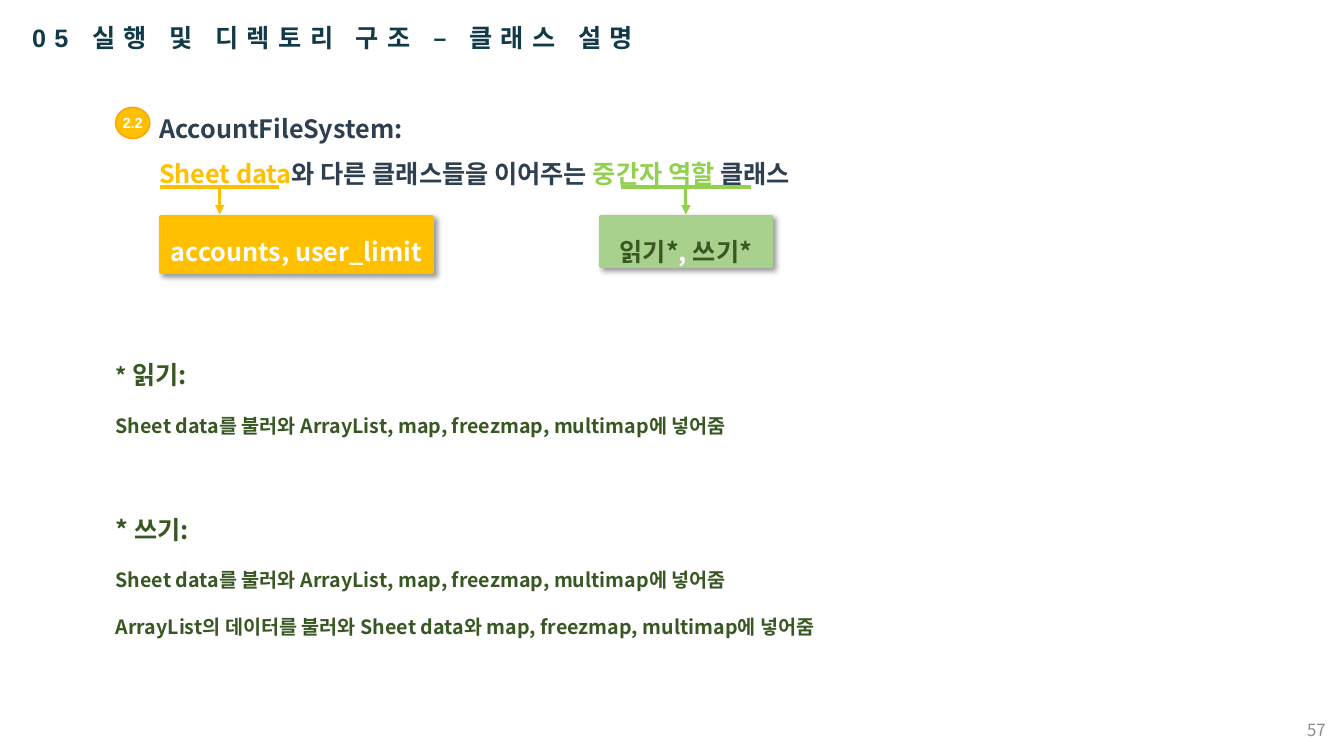
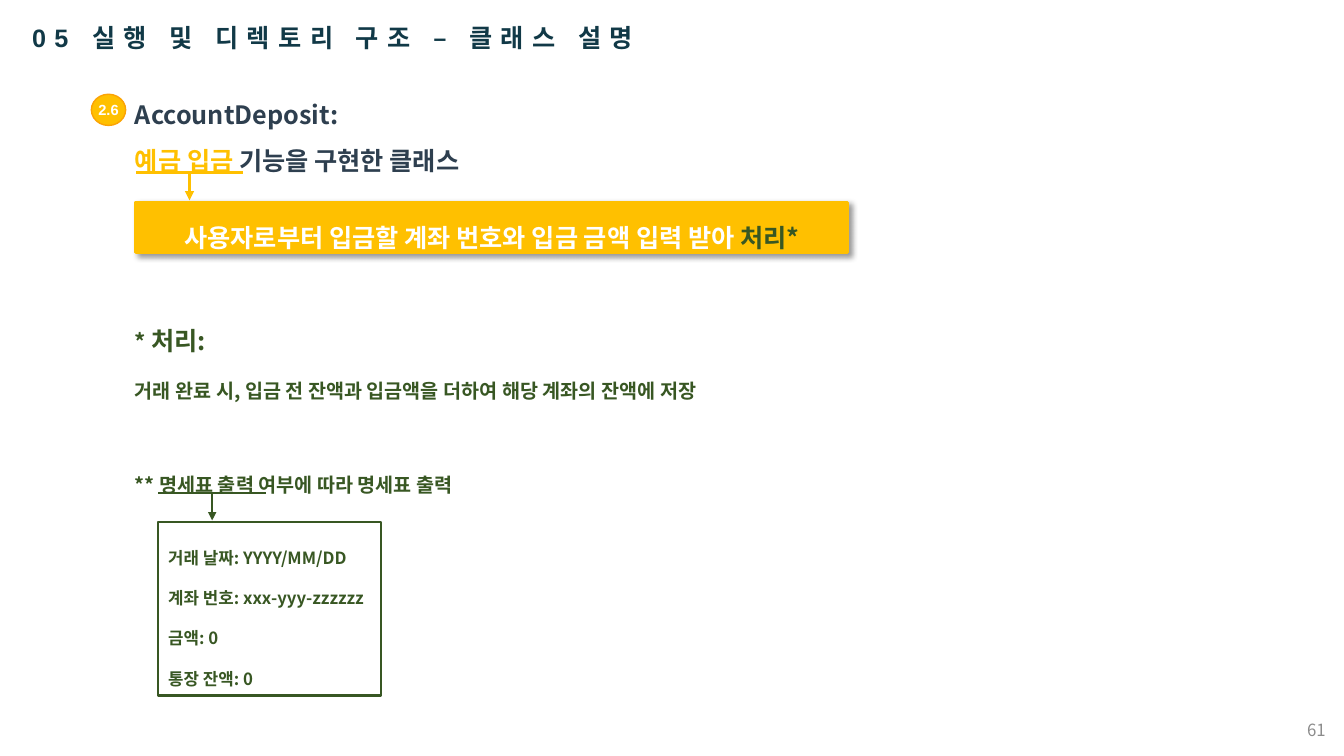
from dataclasses import dataclass
from typing import Any, NamedTuple

from lxml import etree
from pptx import Presentation
from pptx import util as u
from pptx.dml import color
from pptx.enum import shapes, text
from pptx.oxml import ns


@dataclass(frozen=True)
class Theme:
    title: str = "113947"
    heading: str = "2E3F4F"
    amber: str = "FFC000"
    amber_edge: str = "FBA305"
    lime: str = "92D050"
    sage: str = "A9D18E"
    forest: str = "385723"
    white: str = "FFFFFF"
    grey: str = "8C8C8C"
    latin: str = "Arial"
    korean: str = "Noto Sans CJK KR"
    large: float = 18
    medium: float = 16
    body: float = 14
    small: float = 12
    badge: float = 10.5
    section_gap: float = 33.6


THEME = Theme()
TITLE = "05 실행 및 디렉토리 구조 – 클래스 설명"
COLUMNS, ROWS = 80, 45
WIDTH, HEIGHT = u.Inches(13.333), u.Inches(7.5)


class Area(NamedTuple):
    """Left, top, width and height in columns and rows of the page grid."""
    left: float
    top: float
    width: float
    height: float


class Span(NamedTuple):
    words: str
    color: str
    size: float = THEME.large
    font: str = THEME.korean
    bold: bool = True
    spacing: float = 0


class Para(NamedTuple):
    spans: tuple[Span, ...]
    before: float = 0


@dataclass(frozen=True)
class Callout:
    """A box with an arrow from an underlined phrase above it."""
    underline: Area
    left: float
    width: float
    height: float
    paras: tuple[Para, ...]
    fill: str
    edge: str
    accent: str
    weight: float = 2.25
    leading: float = 1.5
    align: Any = text.PP_ALIGN.CENTER
    shadow: bool = True


@dataclass(frozen=True)
class ClassPage:
    number: str
    badge: str
    heading: Area
    heading_paras: tuple[Para, ...]
    notes: Area
    note_paras: tuple[Para, ...]
    callouts: tuple[Callout, ...]


def line(*spans: Span, before: float = 0) -> Para:
    return Para(spans, before)


def note(words: str, before: float = 0, size: float = THEME.body) -> Para:
    return line(Span(words, THEME.forest, size), before=before)


def topic(name: str, before: float = 0, star_size: float = THEME.medium) -> Para:
    return line(Span("* ", THEME.forest, star_size), Span(f"{name}:", THEME.forest), before=before)


def across(columns: float) -> int:
    return round(WIDTH * columns / COLUMNS)


def down(rows: float) -> int:
    return round(HEIGHT * rows / ROWS)


def place(area: Area) -> tuple[int, int, int, int]:
    return across(area.left), down(area.top), across(area.width), down(area.height)


def rgb(value: str) -> color.RGBColor:
    return color.RGBColor.from_string(value)


def apply(target: Any, formats: dict[str, Any]) -> None:
    for name, value in formats.items():
        setattr(target, name, value)


def write(shape: Any, paras: tuple[Para, ...], leading: float = 1,
          align: Any = text.PP_ALIGN.LEFT, **frame_formats: Any) -> None:
    frame = shape.text_frame
    apply(frame, {"word_wrap": True, "vertical_anchor": text.MSO_ANCHOR.TOP} | frame_formats)
    for index, item in enumerate(paras):
        para = frame.paragraphs[0] if index == 0 else frame.add_paragraph()
        apply(para, {"line_spacing": leading, "alignment": align})
        if item.before:
            para.space_before = u.Pt(item.before)
        for span in item.spans:
            run = para.add_run()
            run.text = span.words
            apply(run.font, {"name": span.font, "size": u.Pt(span.size), "bold": span.bold})
            run.font.color.rgb = rgb(span.color)
            properties = run.font._element
            etree.SubElement(properties, ns.qn("a:ea"), typeface=THEME.korean)
            if span.spacing:
                properties.set("spc", str(round(span.spacing * 100)))


def add_text(page: Any, area: Area, paras: tuple[Para, ...], **formats: Any) -> None:
    write(page.shapes.add_textbox(*place(area)), paras, **formats)


def add_filled(page: Any, kind: Any, area: Area, fill: str, edge: str, weight: float) -> Any:
    shape = page.shapes.add_shape(kind, *place(area))
    shape.shadow.inherit = False
    shape.fill.solid()
    shape.fill.fore_color.rgb = rgb(fill)
    shape.line.color.rgb = rgb(edge)
    shape.line.width = u.Pt(weight)
    return shape


def add_shadow(shape: Any) -> None:
    effects = shape._element.spPr.find(ns.qn("a:effectLst"))
    shadow = etree.SubElement(effects, ns.qn("a:outerShdw"), blurRad=str(u.Pt(4)),
                              dist=str(u.Pt(3)), dir="2700000", algn="tl", rotWithShape="0")
    tint = etree.SubElement(shadow, ns.qn("a:srgbClr"), val="000000")
    etree.SubElement(tint, ns.qn("a:alpha"), val="40000")


def add_line(page: Any, area: Area, accent: str, weight: float, arrow: bool = False) -> None:
    left, top, width, height = place(area)
    connector = page.shapes.add_connector(
        shapes.MSO_CONNECTOR.STRAIGHT, left, top, left + width, top + height)
    connector.line.color.rgb = rgb(accent)
    connector.line.width = u.Pt(weight)
    if arrow:
        etree.SubElement(connector.line._get_or_add_ln(), ns.qn("a:tailEnd"), type="triangle")
    etree.SubElement(connector._element.spPr, ns.qn("a:effectLst"))


def add_callout(page: Any, callout: Callout) -> None:
    rule = callout.underline
    area = Area(callout.left, rule.top + 1.74, callout.width, callout.height)
    box = add_filled(page, shapes.MSO_SHAPE.RECTANGLE, area,
                     callout.fill, callout.edge, callout.weight)
    if callout.shadow:
        add_shadow(box)
    write(box, callout.paras, callout.leading, callout.align, word_wrap=False, margin_bottom=0)
    arrow = Area(rule.left + rule.width / 2, rule.top, 0, 1.64)
    add_line(page, arrow, callout.accent, callout.weight, arrow=True)
    add_line(page, rule, callout.accent, callout.weight)


def add_badge(page: Any, label: str, heading: Area) -> None:
    area = Area(heading.left - 2, heading.top + 0.87, 2.04, 1.86)
    badge = add_filled(page, shapes.MSO_SHAPE.OVAL, area, THEME.amber, THEME.amber_edge, 1)
    margins = {f"margin_{side}": 0 for side in ("left", "top", "right", "bottom")}
    write(badge, (line(Span(label, THEME.white, THEME.badge, THEME.latin)),),
          align=text.PP_ALIGN.CENTER, vertical_anchor=text.MSO_ANCHOR.MIDDLE, **margins)


def add_page(deck: Any, content: ClassPage) -> None:
    page = deck.slides.add_slide(deck.slide_layouts[6])
    add_badge(page, content.badge, content.heading)
    add_text(page, Area(1.32, 1.02, 54.54, 2.4),
             (line(Span(TITLE, THEME.title, font=THEME.latin, spacing=6)),))
    add_text(page, content.heading, content.heading_paras, leading=1.5)
    add_text(page, content.notes, content.note_paras, leading=2)
    for callout in content.callouts:
        add_callout(page, callout)
    add_text(page, Area(61.5, 42.24, 18, 2.4),
             (line(Span(content.number, THEME.grey, THEME.small, bold=False)),),
             align=text.PP_ALIGN.RIGHT, vertical_anchor=text.MSO_ANCHOR.MIDDLE)


LOADING = "Sheet data를 불러와 ArrayList, map, freezmap, multimap에 넣어줌"
RECEIPT = ("거래 날짜: YYYY/MM/DD", "계좌 번호: xxx-yyy-zzzzzz", "금액: 0", "통장 잔액: 0")

PAGES = (
    ClassPage(
        number="57", badge="2.2",
        heading=Area(8.88, 5.52, 59.16, 6.06),
        heading_paras=(
            line(Span("AccountFileSystem:", THEME.heading)),
            line(Span("Sheet data", THEME.amber),
                 Span("와 다른 클래스들을 이어주는 ", THEME.heading),
                 Span("중간자 역할 ", THEME.lime), Span("클래스", THEME.heading)),
        ),
        notes=Area(6.3, 19.32, 66.12, 19.2),
        note_paras=(
            topic("읽기"), note(LOADING),
            topic("쓰기", THEME.section_gap, THEME.large), note(LOADING),
            note("ArrayList의 데이터를 불러와 Sheet data와 map, freezmap, multimap에 넣어줌"),
        ),
        callouts=(
            Callout(Area(9.54, 11.13, 7.08, 0), 9.54, 16.2, 3.36,
                    (line(Span("accounts, user_limit", THEME.white)),),
                    THEME.amber, THEME.amber, THEME.amber),
            Callout(Area(36.96, 11.13, 7.74, 0), 35.76, 10.14, 3,
                    (line(Span("읽기*", THEME.forest), Span(", ", THEME.white),
                          Span("쓰기*", THEME.forest)),),
                    THEME.sage, THEME.sage, THEME.lime),
        ),
    ),
    ClassPage(
        number="61", badge="2.6",
        heading=Area(7.44, 4.74, 71.82, 6.06),
        heading_paras=(
            line(Span("AccountDeposit:", THEME.heading)),
            line(Span("예금 입금 ", THEME.amber), Span("기능을 구현한 클래스", THEME.heading)),
        ),
        notes=Area(7.44, 17.28, 66.12, 12.72),
        note_paras=(
            topic("처리"),
            note("거래 완료 시, 입금 전 잔액과 입금액을 더하여 해당 계좌의 잔액에 저장"),
            note("** 명세표 출력 여부에 따라 명세표 출력", THEME.section_gap),
        ),
        callouts=(
            Callout(Area(8.1, 10.29, 6.36, 0), 8.1, 42.36, 3,
                    (line(Span("사용자로부터 입금할 계좌 번호와 입금 금액 입력 받아 ", THEME.white),
                          Span("처리*", THEME.forest)),),
                    THEME.amber, THEME.amber, THEME.amber),
            Callout(Area(9.42, 29.34, 6.42, 0), 9.42, 13.26, 10.32,
                    tuple(note(words, size=THEME.small) for words in RECEIPT),
                    THEME.white, THEME.forest, THEME.forest, weight=1.5, leading=2,
                    align=text.PP_ALIGN.LEFT, shadow=False),
        ),
    ),
)


def main() -> None:
    deck = Presentation()
    apply(deck, {"slide_width": WIDTH, "slide_height": HEIGHT})
    for content in PAGES:
        add_page(deck, content)
    deck.save("out.pptx")


if __name__ == "__main__":
    main()
